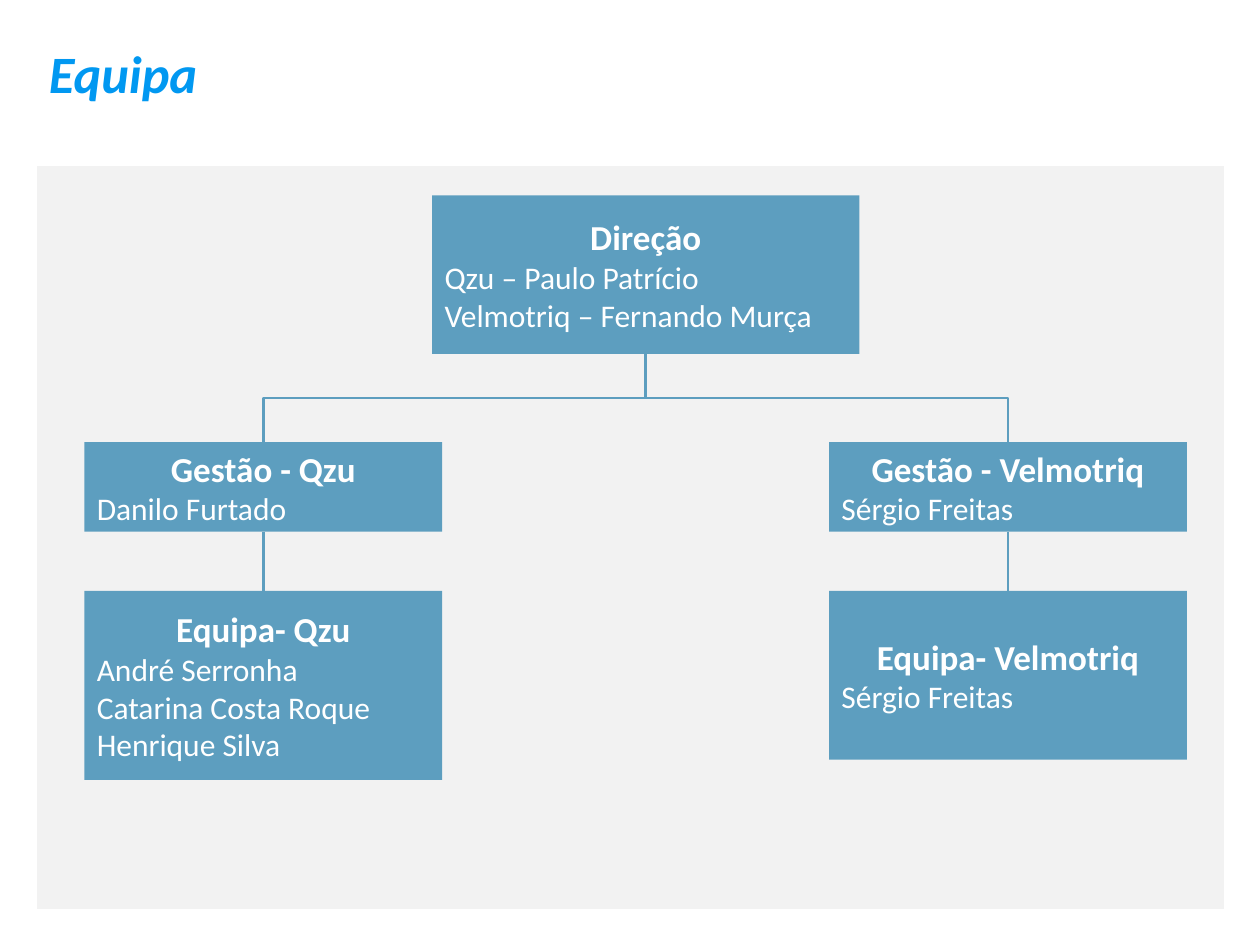
"""Builds a team organisation chart slide."""
from dataclasses import dataclass

from lxml import etree
from pptx import Presentation
from pptx.dml.color import RGBColor
from pptx.enum.shapes import MSO_CONNECTOR, MSO_SHAPE
from pptx.enum.text import MSO_ANCHOR, PP_ALIGN
from pptx.oxml.ns import qn
from pptx.util import Inches, Pt

RECT = MSO_SHAPE.RECTANGLE
STRAIGHT, ELBOW = MSO_CONNECTOR.STRAIGHT, MSO_CONNECTOR.ELBOW
LEFT, CENTER = PP_ALIGN.LEFT, PP_ALIGN.CENTER
MIDDLE = MSO_ANCHOR.MIDDLE
FONT = "Calibri"
BLUE, TITLE_BLUE, GREY, WHITE = "5D9EBF", "0198F1", "F2F2F2", "FFFFFF"


@dataclass(frozen=True)
class Box:
    """A box of the chart, in inches, with its heading and members."""
    left: float
    top: float
    width: float
    height: float
    heading: str
    members: tuple[str, ...]

    @property
    def center(self) -> float:
        return self.left + self.width / 2

    @property
    def bottom(self) -> float:
        return self.top + self.height


BOARD = Box(3.43, 1.55, 3.39, 1.26, "Direção",
            ("Qzu – Paulo Patrício", "Velmotriq – Fernando Murça"))
BRANCHES = (
    (Box(0.67, 3.51, 2.84, 0.71, "Gestão - Qzu", ("Danilo Furtado",)),
     Box(0.67, 4.69, 2.84, 1.5, "Equipa- Qzu",
         ("André Serronha", "Catarina Costa Roque", "Henrique Silva"))),
    (Box(6.58, 3.51, 2.84, 0.71, "Gestão - Velmotriq", ("Sérgio Freitas",)),
     Box(6.58, 4.69, 2.84, 1.34, "Equipa- Velmotriq", ("Sérgio Freitas",))),
)


def rgb(color: str) -> RGBColor:
    """Turn a hex string into a colour."""
    return RGBColor.from_string(color)


def write(p, text: str, size=18, color=WHITE, bold=False, italic=False, align=LEFT) -> None:
    """Write formatted text into a paragraph."""
    p.alignment = align
    r = p.add_run()
    r.text = text
    r.font.name, r.font.size = FONT, Pt(size)
    r.font.bold, r.font.italic = bold, italic
    r.font.color.rgb = rgb(color)


def add_title(s, text: str) -> None:
    """Add the slide title."""
    tf = s.shapes.add_textbox(Inches(0.29), Inches(0.28), Inches(9.45), Inches(0.7)).text_frame
    tf.word_wrap = True
    write(tf.paragraphs[0], text, size=30, color=TITLE_BLUE, bold=True, italic=True)


def add_panel(s) -> None:
    """Add the grey one-cell table behind the chart."""
    table = s.shapes.add_table(1, 1, Inches(0.29), Inches(1.31), Inches(9.43), Inches(5.91)).table
    fill = table.cell(0, 0).fill
    fill.solid()
    fill.fore_color.rgb = rgb(GREY)


def add_box(s, box: Box) -> None:
    """Add a box with a centred heading above its members."""
    sp = s.shapes.add_shape(RECT, Inches(box.left), Inches(box.top),
                            Inches(box.width), Inches(box.height))
    sp.shadow.inherit = False
    sp.fill.solid()
    sp.fill.fore_color.rgb = rgb(BLUE)
    sp.line.fill.background()
    tf = sp.text_frame
    tf.word_wrap = True
    tf.vertical_anchor = MIDDLE
    write(tf.paragraphs[0], box.heading, size=20, bold=True, align=CENTER)
    for member in box.members:
        write(tf.add_paragraph(), member)


def add_line(s, kind, x1: float, y1: float, x2: float, y2: float):
    """Add a connector between two points given in inches."""
    line = s.shapes.add_connector(kind, Inches(x1), Inches(y1), Inches(x2), Inches(y2))
    line.line.color.rgb = rgb(BLUE)
    line.line.width = Pt(1.5)
    etree.SubElement(line._element.spPr, qn("a:effectLst"))
    return line


def add_elbow(s, parent: Box, child: Box) -> None:
    """Join two boxes with an elbow turned to leave the parent downwards."""
    run, drop = child.center - parent.center, child.top - parent.bottom
    mid_x, mid_y = (parent.center + child.center) / 2, (parent.bottom + child.top) / 2
    side = 1 if run < 0 else -1
    dx, dy = side * drop / 2, abs(run) / 2
    line = add_line(s, ELBOW, mid_x - dx, mid_y - dy, mid_x + dx, mid_y + dy)
    line._element.spPr.find(qn("a:xfrm")).set("rot", str(side * 90 % 360 * 60000))


def main() -> None:
    """Build and save the slide."""
    prs = Presentation()
    prs.slide_width, prs.slide_height = Inches(10), Inches(7.5)
    s = prs.slides.add_slide(prs.slide_layouts[6])
    add_title(s, "Equipa")
    add_panel(s)
    add_box(s, BOARD)
    for manager, team in BRANCHES:
        add_box(s, manager)
        add_box(s, team)
        add_elbow(s, BOARD, manager)
        add_line(s, STRAIGHT, manager.center, manager.bottom, team.center, team.top)
    prs.save("out.pptx")


if __name__ == "__main__":
    main()
